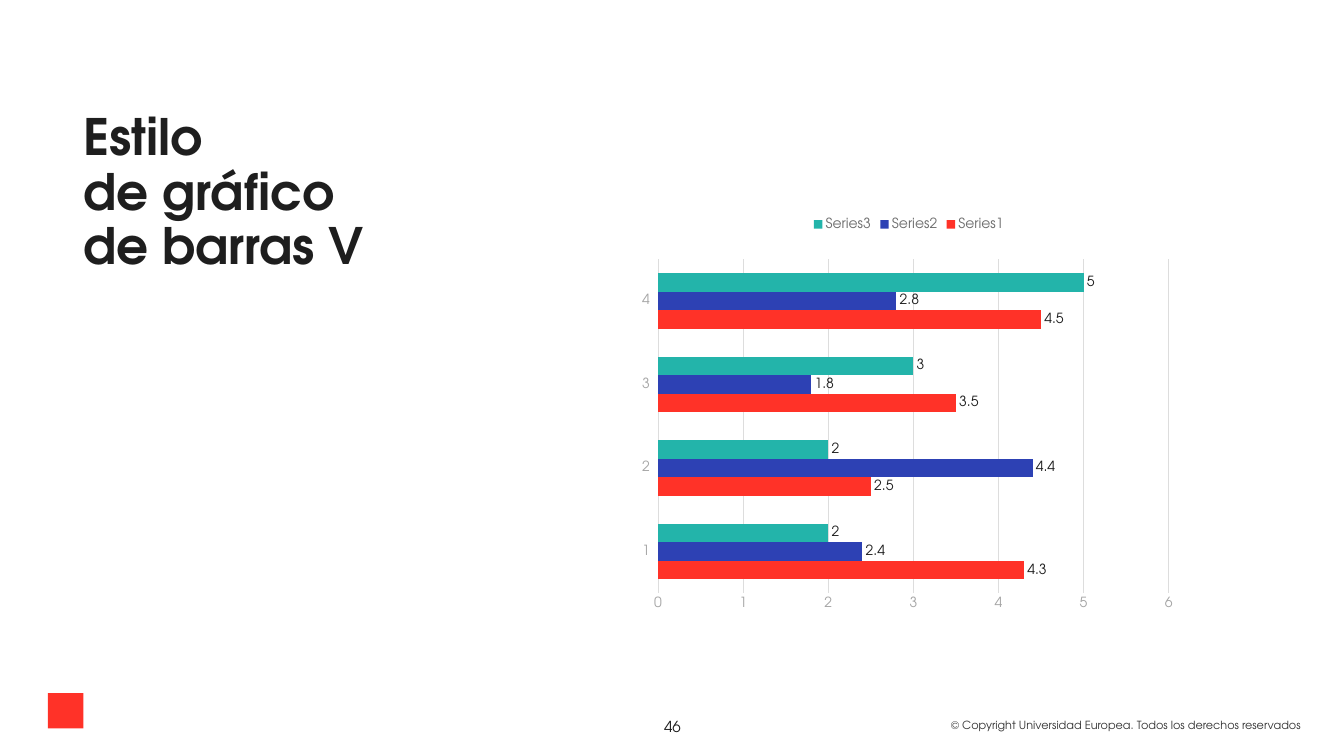
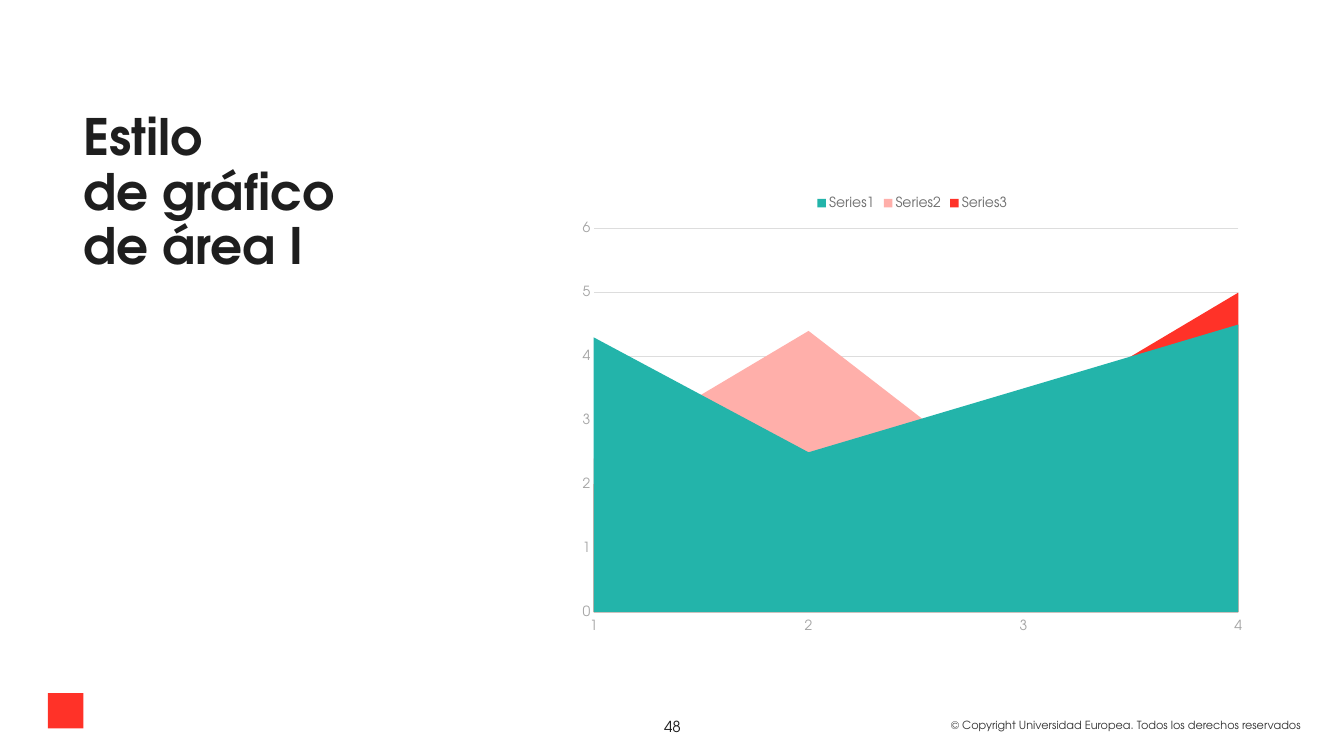
from copy import deepcopy
from dataclasses import dataclass
from typing import Optional

from lxml.etree import SubElement
from pptx import Presentation
from pptx.chart.data import CategoryChartData
from pptx.dml.color import RGBColor
from pptx.enum.chart import XL_CHART_TYPE as ChartType
from pptx.enum.chart import XL_LABEL_POSITION as LabelPosition
from pptx.enum.chart import XL_LEGEND_POSITION as LegendPosition
from pptx.enum.chart import XL_TICK_LABEL_POSITION as TickLabels
from pptx.enum.chart import XL_TICK_MARK as TickMark
from pptx.enum.shapes import MSO_SHAPE as Preset
from pptx.enum.text import MSO_ANCHOR as Anchor
from pptx.enum.text import MSO_AUTO_SIZE as AutoSize
from pptx.enum.text import PP_ALIGN as Align
from pptx.oxml.ns import qn
from pptx.util import Cm, Pt


@dataclass(frozen=True)
class Theme:
    font: str = "TeX Gyre Adventor"
    ink: str = "1E1E1E"
    footer: str = "333333"
    legend: str = "6D6D6D"
    axis: str = "A5A5A5"
    grid: str = "DDDDDD"
    red: str = "FF3228"
    pink: str = "FFAFAA"
    blue: str = "2D41B4"
    teal: str = "23B4AA"
    title_size: float = 43
    page_size: float = 13
    chart_size: float = 12
    footer_size: float = 9.6


@dataclass(frozen=True)
class Box:
    left: float
    top: float
    width: float
    height: float

    def lengths(self) -> tuple:
        return Cm(self.left), Cm(self.top), Cm(self.width), Cm(self.height)


@dataclass(frozen=True)
class ChartSlide:
    title: str
    page: str
    kind: ChartType
    colors: tuple
    legend_position: LegendPosition
    legend_layout: Optional[dict] = None
    plot_layout: Optional[dict] = None
    value_labels: bool = False


THEME = Theme()
TITLE_BOX = Box(2.51, 3.28, 9.22, 5)
CHART_BOX = Box(17.2, 5.66, 20.78, 13.77)
PAGE_BOX = Box(19.46, 21.56, 1.75, 1.09)
COPYRIGHT_BOX = Box(28.5, 21.59, 11.23, 0.66)
CORNER_BOX = Box(1.45, 20.96, 1.07, 1.07)
COPYRIGHT = "© Copyright Universidad Europea. Todos los derechos reservados"
CATEGORIES = ("1", "2", "3", "4")
VALUES = {
    "Series1": (4.3, 2.5, 3.5, 4.5),
    "Series2": (2.4, 4.4, 1.8, 2.8),
    "Series3": (2, 2, 3, 5),
}

SLIDES = (
    ChartSlide(
        "Estilo\nde gráfico de barras V", "46", ChartType.BAR_CLUSTERED,
        (THEME.red, THEME.blue, THEME.teal), LegendPosition.BOTTOM,
        legend_layout={"xMode": "edge", "yMode": "edge", "x": 0.35, "y": 0.06},
        plot_layout={"layoutTarget": "inner", "xMode": "edge", "yMode": "edge",
                     "x": 0.13, "y": 0.158, "w": 0.743, "h": 0.734},
        value_labels=True,
    ),
    ChartSlide(
        "Estilo\nde gráfico de área I", "48", ChartType.AREA,
        (THEME.teal, THEME.pink, THEME.red), LegendPosition.TOP,
    ),
)


def style_font(font, size: float, color: str, bold: bool = False) -> None:
    font.name = THEME.font
    font.size = Pt(size)
    font.bold = bold
    font.color.rgb = RGBColor.from_string(color)


def write_text(frame, text: str, *, size: float, color: str = THEME.ink,
               bold: bool = False, align: Align = Align.LEFT,
               spacing: float = 1, wrap: bool = True,
               fit: AutoSize = AutoSize.NONE) -> None:
    frame.word_wrap = wrap
    frame.auto_size = fit
    frame.vertical_anchor = Anchor.TOP
    paragraph = frame.paragraphs[0]
    paragraph.text = text
    paragraph.alignment = align
    paragraph.line_spacing = spacing
    for run in paragraph.runs:
        style_font(run.font, size, color, bold)
    for line_break in paragraph._p.findall(qn("a:br")):
        line_break.insert(0, deepcopy(paragraph.runs[0]._r.rPr))


def set_layout(parent, index: int, settings: dict) -> None:
    for previous in parent.findall(qn("c:layout")):
        parent.remove(previous)
    layout = parent.makeelement(qn("c:layout"))
    manual = SubElement(layout, qn("c:manualLayout"))
    for tag, value in settings.items():
        SubElement(manual, qn(f"c:{tag}")).set("val", str(value))
    parent.insert(index, layout)


def style_axes(chart) -> None:
    for axis in (chart.category_axis, chart.value_axis):
        axis.major_tick_mark = axis.minor_tick_mark = TickMark.NONE
        axis.format.line.fill.background()
        style_font(axis.tick_labels.font, THEME.chart_size, THEME.axis)
    chart.category_axis.has_major_gridlines = False
    chart.category_axis.tick_label_position = TickLabels.LOW
    scale = chart.value_axis
    scale.minimum_scale, scale.maximum_scale, scale.major_unit = 0, 6, 1
    scale.has_major_gridlines = True
    gridline = scale.major_gridlines.format.line
    gridline.width = Pt(0.75)
    gridline.color.rgb = RGBColor.from_string(THEME.grid)


def add_series_chart(slide, content: ChartSlide) -> None:
    data = CategoryChartData()
    data.categories = CATEGORIES
    for name, values in VALUES.items():
        data.add_series(name, values)
    chart = slide.shapes.add_chart(content.kind, *CHART_BOX.lengths(), data).chart
    chart.has_title = False
    style_font(chart.font, 10, THEME.ink)
    style_axes(chart)

    chart.has_legend = True
    chart.legend.position = content.legend_position
    chart.legend.include_in_layout = False
    style_font(chart.legend.font, THEME.chart_size, THEME.legend)
    if content.legend_layout:
        set_layout(chart.legend._element, 1, content.legend_layout)

    plot = chart.plots[0]
    plot.vary_by_categories = False
    if content.kind == ChartType.BAR_CLUSTERED:
        plot.gap_width = 150
        plot.overlap = 0
    if content.plot_layout:
        set_layout(plot._element.getparent(), 0, content.plot_layout)
    for series, color in zip(plot.series, content.colors):
        series.format.fill.solid()
        series.format.fill.fore_color.rgb = RGBColor.from_string(color)
        if content.value_labels:
            labels = series.data_labels
            labels.show_value = True
            labels.position = LabelPosition.OUTSIDE_END
            style_font(labels.font, THEME.chart_size, THEME.ink)


def add_footer(slide, page: str) -> None:
    copyright_line = slide.shapes.add_textbox(*COPYRIGHT_BOX.lengths())
    write_text(copyright_line.text_frame, COPYRIGHT, size=THEME.footer_size,
               color=THEME.footer, wrap=False, fit=AutoSize.SHAPE_TO_FIT_TEXT)
    corner = slide.shapes.add_shape(Preset.RECTANGLE, *CORNER_BOX.lengths())
    corner.shadow.inherit = False
    corner.fill.solid()
    corner.fill.fore_color.rgb = RGBColor.from_string(THEME.red)
    corner.line.fill.background()
    page_number = slide.shapes.add_textbox(*PAGE_BOX.lengths())
    write_text(page_number.text_frame, page, size=THEME.page_size,
               align=Align.CENTER)


def add_title(slide, text: str) -> None:
    title = slide.shapes.title
    title.left, title.top, title.width, title.height = TITLE_BOX.lengths()
    title.text_frame.margin_left = 0
    write_text(title.text_frame, text, size=THEME.title_size, bold=True,
               spacing=0.9)


def main() -> None:
    deck = Presentation()
    deck.slide_width, deck.slide_height = Cm(40.64), Cm(22.86)
    for content in SLIDES:
        slide = deck.slides.add_slide(deck.slide_layouts[5])
        add_title(slide, content.title)
        add_footer(slide, content.page)
        add_series_chart(slide, content)
    deck.save("out.pptx")


if __name__ == "__main__":
    main()
